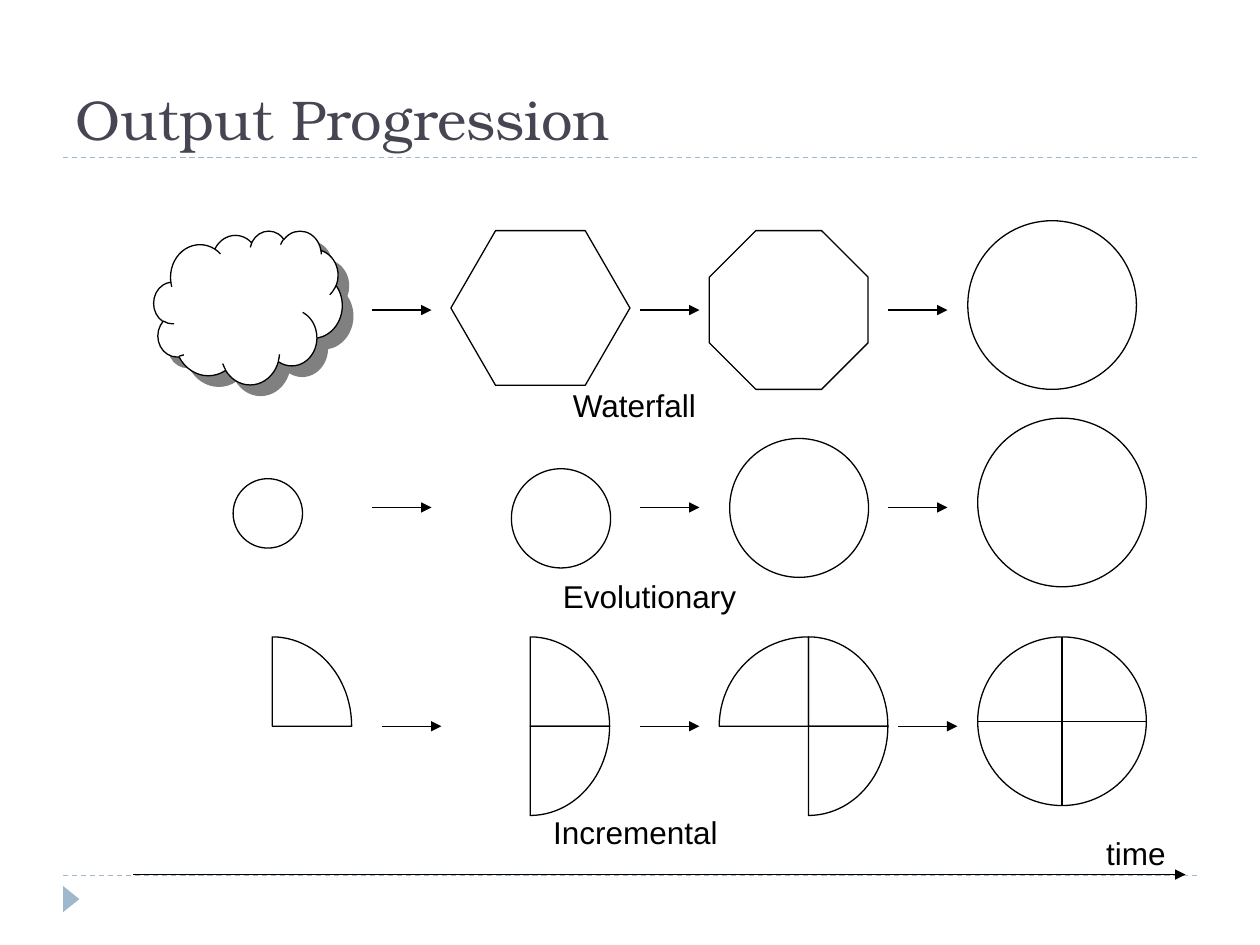
from dataclasses import dataclass
from math import cos, pi, sin

from lxml.etree import SubElement
from pptx import Presentation
from pptx.dml.color import RGBColor
from pptx.enum.dml import MSO_LINE_DASH_STYLE as Dash
from pptx.enum.shapes import MSO_CONNECTOR as Connector
from pptx.enum.shapes import MSO_SHAPE as Preset
from pptx.enum.text import MSO_ANCHOR as Anchor
from pptx.enum.text import MSO_AUTO_SIZE as AutoSize
from pptx.enum.text import PP_ALIGN as Align
from pptx.oxml.ns import qn
from pptx.util import Cm, Pt


@dataclass(frozen=True)
class Theme:
    """Colours, fonts and type sizes of the slide."""
    ink: str = "000000"
    paper: str = "FFFFFF"
    heading: str = "464653"
    accent: str = "9FB8CD"
    shadow: str = "808080"
    title_font: str = "TeX Gyre Bonum"
    label_font: str = "Arial"
    title_size: float = 32
    label_size: float = 18
    stroke: float = 0.75


@dataclass(frozen=True)
class Box:
    """A region of the slide, in centimetres."""
    left: float
    top: float
    width: float
    height: float

    def inner(self, left, top, width, height):
        """Return a box placed relative to this one."""
        return Box(self.left + left, self.top + top, width, height)

    def lengths(self):
        """Return the four measures as slide lengths."""
        return Cm(self.left), Cm(self.top), Cm(self.width), Cm(self.height)


THEME = Theme()
ARROW_LENGTH = 1.2
ROW_MIDDLE = 1.8
FULL = 3.4


def colour(code):
    """Turn a hex code into a colour."""
    return RGBColor.from_string(code)


def set_font(font, name, size, code):
    """Apply face, size and colour."""
    font.name, font.size = name, Pt(size)
    font.color.rgb = colour(code)


def outline(shape):
    """Leave a shape with just a thin dark outline."""
    shape.shadow.inherit = False
    shape.fill.background()
    shape.line.color.rgb = colour(THEME.ink)
    shape.line.width = Pt(THEME.stroke)


def add_line(page, left, top, length, code=THEME.ink, arrow=False):
    """Draw a horizontal line: an arrow, or a dashed rule."""
    line = page.shapes.add_connector(
        Connector.STRAIGHT, Cm(left), Cm(top), Cm(left + length), Cm(top))
    line.line.color.rgb = colour(code)
    line.line.width = Pt(THEME.stroke)
    props = line._element.spPr
    if arrow:
        SubElement(props.find(qn("a:ln")), qn("a:tailEnd"), type="triangle")
    else:
        line.line.dash_style = Dash.DASH
    SubElement(props, qn("a:effectLst"))


def add_label(page, text, box):
    """Write a one-line label."""
    frame = page.shapes.add_textbox(*box.lengths()).text_frame
    frame.word_wrap = False
    frame.auto_size = AutoSize.SHAPE_TO_FIT_TEXT
    para = frame.paragraphs[0]
    para.text = text
    set_font(para.font, THEME.label_font, THEME.label_size, THEME.ink)


def add_stage(page, preset, box):
    """Draw one outlined stage of a row."""
    shape = page.shapes.add_shape(preset, *box.lengths())
    outline(shape)
    return shape


def add_cloud(page, box):
    """Draw the white cloud with its hard shadow."""
    cloud = add_stage(page, Preset.CLOUD, box)
    cloud.fill.solid()
    cloud.fill.fore_color.rgb = colour(THEME.paper)
    effects = cloud._element.spPr.find(qn("a:effectLst"))
    shadow = SubElement(effects, qn("a:outerShdw"), dist=str(Pt(8.5)),
                        dir="2700000", algn="ctr", rotWithShape="0")
    SubElement(shadow, qn("a:srgbClr"), val=THEME.shadow)


def add_quadrant(page, centre_x, centre_y, width, height, steps=24):
    """Draw a quarter ellipse; the signs of its radii choose the quadrant."""
    angles = [step * pi / 2 / steps for step in range(steps + 1)]
    arc = [(Cm(centre_x + width * sin(angle)), Cm(centre_y + height * cos(angle)))
           for angle in angles]
    builder = page.shapes.build_freeform(Cm(centre_x), Cm(centre_y))
    builder.add_line_segments(arc, close=True)
    outline(builder.convert_to_shape())


def add_row(page, box, label, label_box, arrows):
    """Place the label and arrows shared by every row."""
    for left in arrows:
        add_line(page, box.left + left, box.top + ROW_MIDDLE, ARROW_LENGTH, arrow=True)
    add_label(page, label, box.inner(*label_box))


def add_waterfall(page, box):
    """Draw the row that sharpens a vague idea into a circle."""
    add_cloud(page, box.inner(0, 0.2, 3.8, 3.1))
    add_stage(page, Preset.HEXAGON, box.inner(5.99, 0.2, 3.61, 3.12)).adjustments[0] = 0.289
    add_stage(page, Preset.OCTAGON, box.inner(11.2, 0.2, 3.2, 3.2))
    add_stage(page, Preset.OVAL, box.inner(16.41, 0, FULL, FULL))
    add_row(page, box, "Waterfall", (8.2, 3.2, 3.02, 1.02), (4.4, 9.8, 14.8))


def add_evolutionary(page, box):
    """Draw the row of growing circles."""
    for left, top, size in ((1.6, 1.22, 1.4), (7.21, 1.02, 2), (11.61, 0.41, 2.8), (16.61, 0, FULL)):
        add_stage(page, Preset.OVAL, box.inner(left, top, size, size))
    add_row(page, box, "Evolutionary", (8, 3.08, 4.01, 1.02), (4.4, 9.8, 14.8))


def add_incremental(page, box):
    """Draw the row that gains one quarter at a time."""
    upper_right, lower_right, upper_left = (1.6, -1.8), (1.6, 1.8), (-1.8, -1.8)
    quarters = (upper_right, lower_right, upper_left)
    for count, centre in enumerate((2.39, 7.59, 13.2), start=1):
        for radii in quarters[:count]:
            add_quadrant(page, box.left + centre, box.top + ROW_MIDDLE, *radii)
    add_stage(page, Preset.FLOWCHART_OR, box.inner(16.61, 0, FULL, FULL))
    add_row(page, box, "Incremental", (7.8, 3.43, 3.84, 1.02), (4.6, 9.8, 15))


def add_heading(page, box):
    """Fill the title placeholder and rule it off."""
    title = page.shapes.title
    title.left, title.top, title.width, title.height = box.lengths()
    frame = title.text_frame
    frame.text = "Output Progression"
    frame.vertical_anchor = Anchor.BOTTOM
    frame.auto_size = AutoSize.NONE
    para = frame.paragraphs[0]
    para.alignment = Align.LEFT
    set_font(para.font, THEME.title_font, THEME.title_size, THEME.heading)
    add_line(page, box.left, box.top + box.height, box.width, THEME.accent)


def add_footer(page, box):
    """Draw the bottom rule, its marker and the time axis."""
    add_line(page, box.left, box.top, box.width, THEME.accent)
    marker = page.shapes.add_shape(
        Preset.ISOSCELES_TRIANGLE, *box.inner(-0.1, 0.31, 0.53, 0.33).lengths())
    outline(marker)
    marker.rotation = 90
    marker.fill.solid()
    marker.fill.fore_color.rgb = colour(THEME.accent)
    marker.line.fill.background()
    add_line(page, box.left + 1.42, box.top - 0.02, 21.21, arrow=True)
    add_label(page, "time", box.inner(20.78, -0.96, 1.7, 1.02))


def main():
    """Build and save the slide."""
    deck = Presentation()
    deck.slide_width, deck.slide_height = Cm(25.4), Cm(19.05)
    page = deck.slides.add_slide(deck.slide_layouts[5])
    add_heading(page, Box(1.27, 0.64, 22.86, 2.54))
    add_waterfall(page, Box(3.1, 4.45, 20.01, 4.22))
    add_evolutionary(page, Box(3.1, 8.43, 20.01, 4.1))
    add_incremental(page, Box(3.1, 12.84, 20.01, 4.45))
    add_footer(page, Box(1.27, 17.65, 22.86, 0.8))
    deck.save("out.pptx")


if __name__ == "__main__":
    main()
